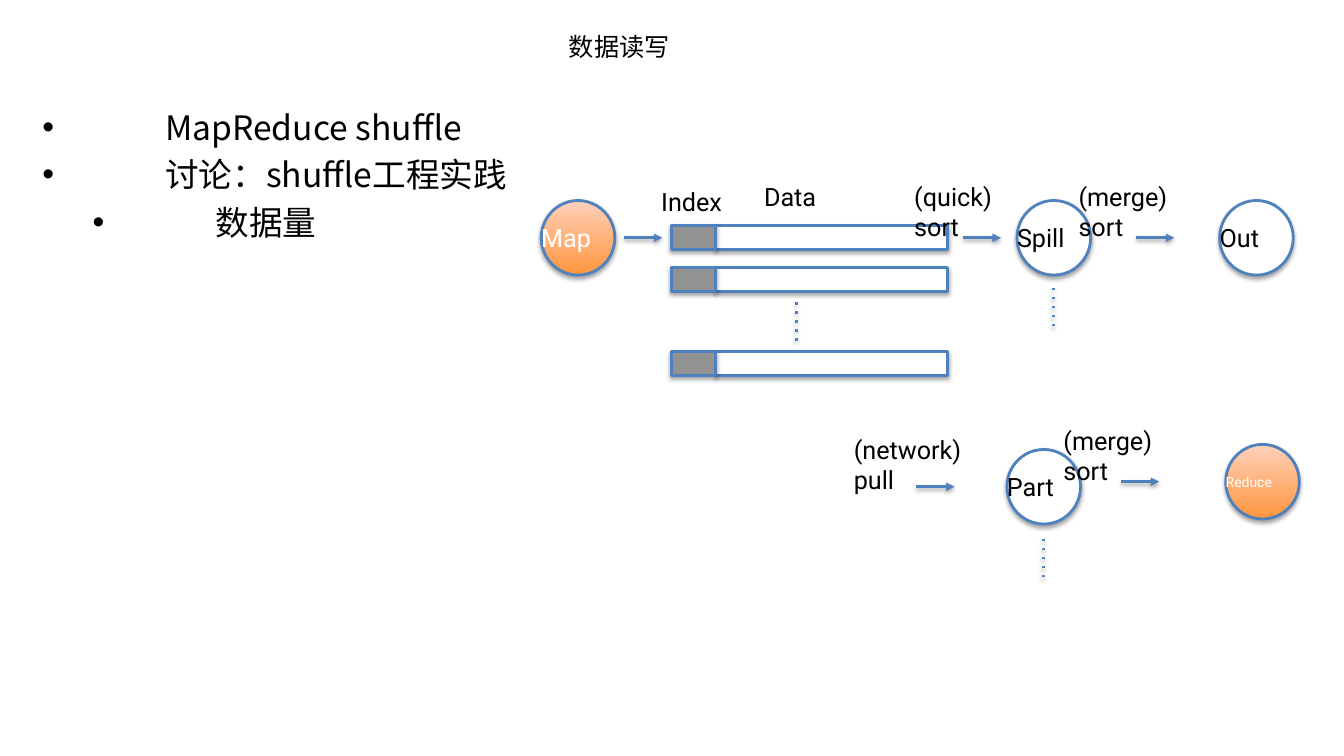
from lxml.etree import SubElement
from pptx import Presentation
from pptx.dml.color import RGBColor
from pptx.enum.shapes import MSO_CONNECTOR as Connector, MSO_SHAPE as Preset
from pptx.enum.text import MSO_ANCHOR as Anchor, PP_ALIGN as Align
from pptx.oxml.ns import qn
from pptx.util import Inches, Pt

BLACK = RGBColor(0x00, 0x00, 0x00)
WHITE = RGBColor(0xFF, 0xFF, 0xFF)
GRAY = RGBColor(0x92, 0x92, 0x92)
BLUE = RGBColor(0x4F, 0x81, 0xBD)
ORANGE = RGBColor(0xFF, 0x95, 0x3E)
PEACH = RGBColor(0xFF, 0xD1, 0xBB)
CHINESE_FONT = "Noto Sans CJK SC"

deck = Presentation()
deck.slide_width, deck.slide_height = Inches(13.33), Inches(7.5)
page = deck.slides.add_slide(deck.slide_layouts[6])

# The page is a grid of 40 columns; rows have the same size.
CELL = deck.slide_width / 40
MARGIN = 0.15
STEP = 1.14
CIRCLE = (2.19, 2.22)


def add_text(grid, lines, size, font="Roboto", color=BLACK, anchor=Anchor.TOP, inset=0):
    """Add a text box at (column, row, columns, rows) and return its paragraphs."""
    frame = page.shapes.add_textbox(*[int(n * CELL) for n in grid]).text_frame
    frame.word_wrap = True
    frame.vertical_anchor = anchor
    frame.margin_left = frame.margin_right = int(inset * CELL)
    frame.margin_top = frame.margin_bottom = int(inset * CELL)
    frame.text = "\n".join(lines)
    for para in frame.paragraphs:
        para.font.size, para.font.name = Pt(size), font
        para.font.color.rgb = color
        for span in para.runs:
            span.font.name = font
            SubElement(span.font._element, qn("a:ea"), typeface=font)
    return frame.paragraphs


def outline(item):
    """Give a shape or connector the blue line and the soft shadow below."""
    item.line.color.rgb, item.line.width = BLUE, Pt(2)
    effects = SubElement(item._element.spPr, qn("a:effectLst"))
    shadow = SubElement(effects, qn("a:outerShdw"), blurRad=str(Pt(3)), dist=str(Pt(1.8)),
                        dir="5400000", rotWithShape="0")
    black = SubElement(shadow, qn("a:srgbClr"), val="000000")
    SubElement(black, qn("a:alpha"), val="35000")


# Title and bullets
title = add_text((1.11, 0, 34.65, 2.79), ["数据读写"], 18, CHINESE_FONT,
                 anchor=Anchor.MIDDLE, inset=MARGIN)[0]
title.alignment = Align.CENTER
title.space_before = Pt(14)

bullets = add_text((1.11, 3.03, 37.8, 16.44),
                   ["MapReduce shuffle", "讨论：shuffle工程实践", "数据量"],
                   24, CHINESE_FONT, inset=MARGIN)
for para, level in zip(bullets, (0, 0, 1)):
    para.level = level
    para.space_before = Pt(5)
    props = para._p.get_or_add_pPr()
    props.set("marL", str(int((3.66 + 1.5 * level) * CELL)))
    props.set("indent", str(int(-3.66 * CELL)))
    SubElement(props, qn("a:buFont"), typeface="Arial")
    SubElement(props, qn("a:buChar"), char="•")

# Rows of an index cell and a data cell, with one row left out
for slot in (0, 1, 3):
    for left, width, color in ((21.3, 6.9, WHITE), (19.98, 1.32, GRAY)):
        grid = (left, 6.72 + 1.25 * slot, width, 0.72)
        cell = page.shapes.add_shape(Preset.RECTANGLE, *[int(n * CELL) for n in grid])
        cell.fill.solid()
        cell.fill.fore_color.rgb = color
        outline(cell)

# Circles
for name, left, top, size, is_orange in (
    ("Map", 16.11, 5.97, 18, True),
    ("Spill", 30.27, 5.97, 18, False),
    ("Out", 36.3, 5.97, 18, False),
    ("Part", 29.97, 13.38, 18, False),
    ("Reduce", 36.48, 13.23, 10, True),
):
    grid = (left, top, *CIRCLE)
    circle = page.shapes.add_shape(Preset.OVAL, *[int(n * CELL) for n in grid])
    if is_orange:
        circle.fill.gradient()
        circle.fill.gradient_angle = 90
        for stop, position, color in zip(circle.fill.gradient_stops, (0, 1), (ORANGE, PEACH)):
            stop.position = position
            stop.color.rgb = color
    else:
        circle.fill.solid()
        circle.fill.fore_color.rgb = WHITE
    outline(circle)
    add_text(grid, [name], size, color=WHITE if is_orange else BLACK, anchor=Anchor.MIDDLE)

# Arrows run to the right, dotted lines run upwards
arrows = [(18.57, 7.08), (28.65, 7.08), (33.81, 7.08), (33.36, 14.34), (27.27, 14.49)]
dots = [(23.7, 10.14), (31.35, 9.72), (31.05, 17.19)]
for left, top in arrows + dots:
    is_arrow = (left, top) in arrows
    end = (left + STEP, top) if is_arrow else (left, top - STEP)
    link = page.shapes.add_connector(Connector.STRAIGHT,
                                     *[int(n * CELL) for n in (left, top, *end)])
    outline(link)
    stroke = link.line._get_or_add_ln()
    if is_arrow:
        SubElement(stroke, qn("a:tailEnd"), type="triangle")
    else:
        dash = SubElement(stroke, qn("a:custDash"))
        SubElement(dash, qn("a:ds"), d="100000", sp="220000")

# Labels
for label, left, top, width in (
    ("Index", 19.68, 5.55, 2.2),
    ("Data", 22.74, 5.4, 2.2),
    ("(quick) sort", 27.21, 5.4, 3.45),
    ("(merge) sort", 32.1, 5.4, 3.84),
    ("(merge) sort", 31.65, 12.66, 3.84),
    ("(network) pull", 25.41, 12.93, 4.2),
):
    add_text((left, top, width, 0.93), [label], 18)

deck.save("out.pptx")
